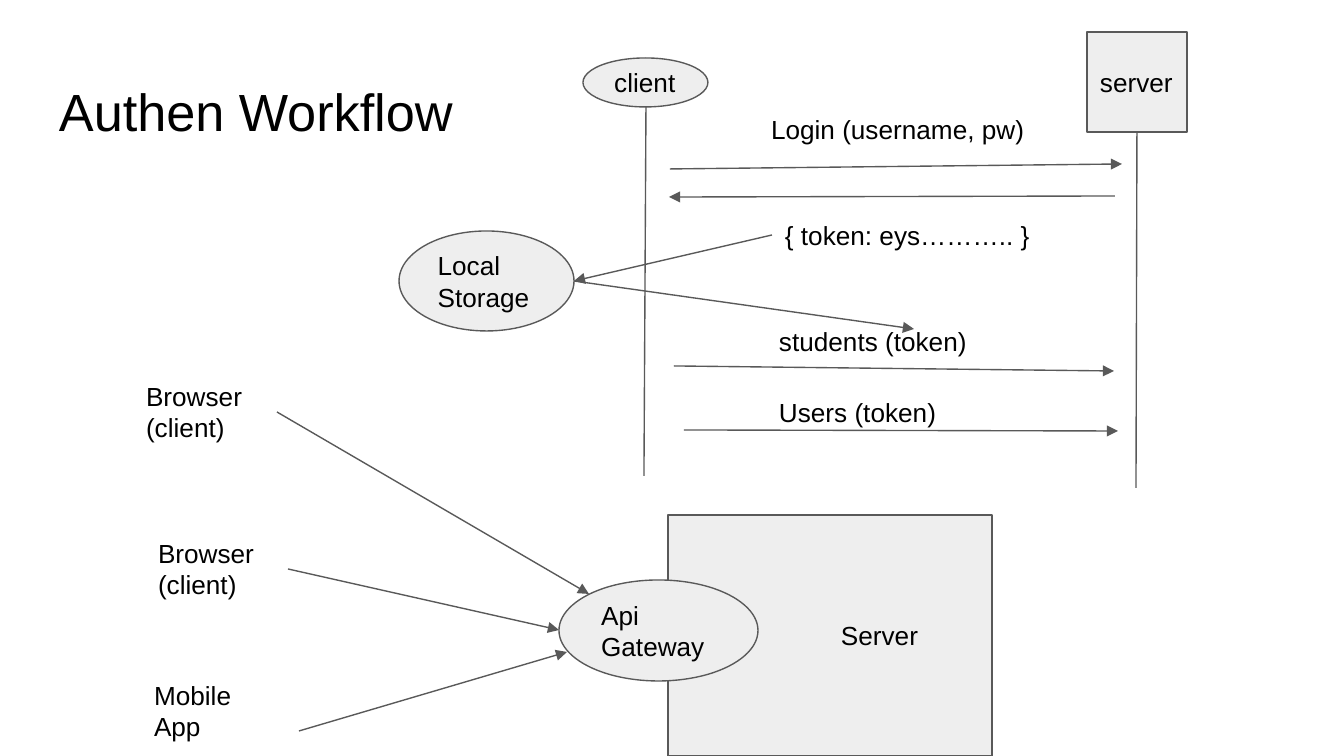
from lxml.etree import SubElement
from pptx import Presentation
from pptx.dml.color import RGBColor
from pptx.enum.shapes import MSO_CONNECTOR as Connector, MSO_SHAPE as Shape
from pptx.enum.text import MSO_ANCHOR as Anchor, MSO_AUTO_SIZE as AutoSize, PP_ALIGN as Align
from pptx.oxml.ns import qn
from pptx.util import Emu, Pt

COLORS = {"text": "000000", "fill": "EEEEEE", "line": "595959"}
FONT = "Arial"
WIDTH, HEIGHT = 1344, 756
SCALE = 9144000 / WIDTH
INSET = 13


def px(length):
    return Emu(round(length * SCALE))


def rgb(name):
    return RGBColor.from_string(COLORS[name])


def write(frame, text, size=14, anchor=Anchor.TOP, left=INSET):
    frame.word_wrap = True
    frame.auto_size = AutoSize.NONE
    frame.vertical_anchor = anchor
    frame.margin_left = px(left)
    frame.margin_top = frame.margin_right = frame.margin_bottom = px(INSET)
    paragraph = frame.paragraphs[0]
    paragraph.alignment = Align.LEFT
    run = paragraph.add_run()
    run.text = text
    run.font.size = Pt(size)
    run.font.name = FONT
    run.font.color.rgb = rgb("text")


def place(origin, x, y, w, h):
    return px(origin[0] + x), px(origin[1] + y), px(w), px(h)


def add_label(slide, origin, text, *box):
    label = slide.shapes.add_textbox(*place(origin, *box))
    write(label.text_frame, text)


def add_node(slide, origin, kind, text, *box, left=INSET):
    node = slide.shapes.add_shape(kind, *place(origin, *box))
    node.shadow.inherit = False
    node.fill.solid()
    node.fill.fore_color.rgb = rgb("fill")
    node.line.color.rgb = rgb("line")
    node.line.width = Pt(0.75)
    write(node.text_frame, text, anchor=Anchor.MIDDLE, left=left)
    return node


def add_line(slide, origin, x1, y1, x2, y2, arrow=True):
    left, top = origin
    line = slide.shapes.add_connector(
        Connector.STRAIGHT, px(left + x1), px(top + y1), px(left + x2), px(top + y2))
    line.line.color.rgb = rgb("line")
    line.line.width = Pt(0.75)
    if arrow:
        SubElement(line.line._get_or_add_ln(), qn("a:tailEnd"), type="triangle")
    SubElement(line._element.spPr, qn("a:effectLst"))
    return line


def add_title(slide, x, y, w, h):
    title = slide.shapes.title
    title.left, title.top, title.width, title.height = place((0, 0), x, y, w, h)
    write(title.text_frame, "Authen Workflow", size=28)


def add_gateway(slide, left, top):
    """Clients that reach the server through the API gateway."""
    origin = left, top
    add_node(slide, origin, Shape.RECTANGLE, "Server", 535, 148, 324, 241, left=173)
    add_node(slide, origin, Shape.OVAL, "Api Gateway", 426, 213, 199, 101)

    # Each client with its arrow to the gateway
    clients = [
        ("Browser (client)", (0, 0, 144, 90), (144, 45, 456, 227)),
        ("Browser (client)", (12, 157, 144, 90), (155, 202, 426, 263)),
        ("Mobile App", (8, 299, 150, 90), (166, 364, 434, 285)),
    ]
    for text, box, arrow in clients:
        add_label(slide, origin, text, *box)
        add_line(slide, origin, *arrow)


def add_sequence(slide, left, top):
    """Messages between client and server, with the stored token."""
    origin = left, top

    # Participants and lifelines
    add_node(slide, origin, Shape.OVAL, "client", 184, 26, 125, 49)
    server = add_node(slide, origin, Shape.RECTANGLE, "server", 688, 0, 100, 100)
    add_line(slide, origin, 247, 75, 245, 444, arrow=False)
    server_lifeline = add_line(slide, origin, 738, 100, 737, 456, arrow=False)
    server_lifeline.begin_connect(server, 2)

    # Messages
    labels = [
        ("Login (username, pw)", 359, 68, 324),
        ("{ token: eys……….. }", 373, 174, 340),
        ("students (token)", 367, 280, 232),
        ("Users (token)", 367, 351, 232),
    ]
    for text, x, y, width in labels:
        add_label(slide, origin, text, x, y, width, 59)
    messages = [
        (271, 137, 723, 132),
        (716, 164, 270, 165),
        (275, 334, 715, 339),
        (285, 398, 719, 399),
    ]
    for message in messages:
        add_line(slide, origin, *message)

    # Token kept in local storage and used again
    add_node(slide, origin, Shape.OVAL, "Local Storage", 0, 199, 175, 100)
    add_line(slide, origin, 373, 203, 175, 249)
    add_line(slide, origin, 175, 249, 515, 297)


def main():
    deck = Presentation()
    deck.slide_width, deck.slide_height = px(WIDTH), px(HEIGHT)
    slide = deck.slides.add_slide(deck.slide_layouts[5])
    add_title(slide, 46, 66, 430, 85)
    add_gateway(slide, 133, 367)
    add_sequence(slide, 399, 32)
    deck.save("out.pptx")


if __name__ == "__main__":
    main()
